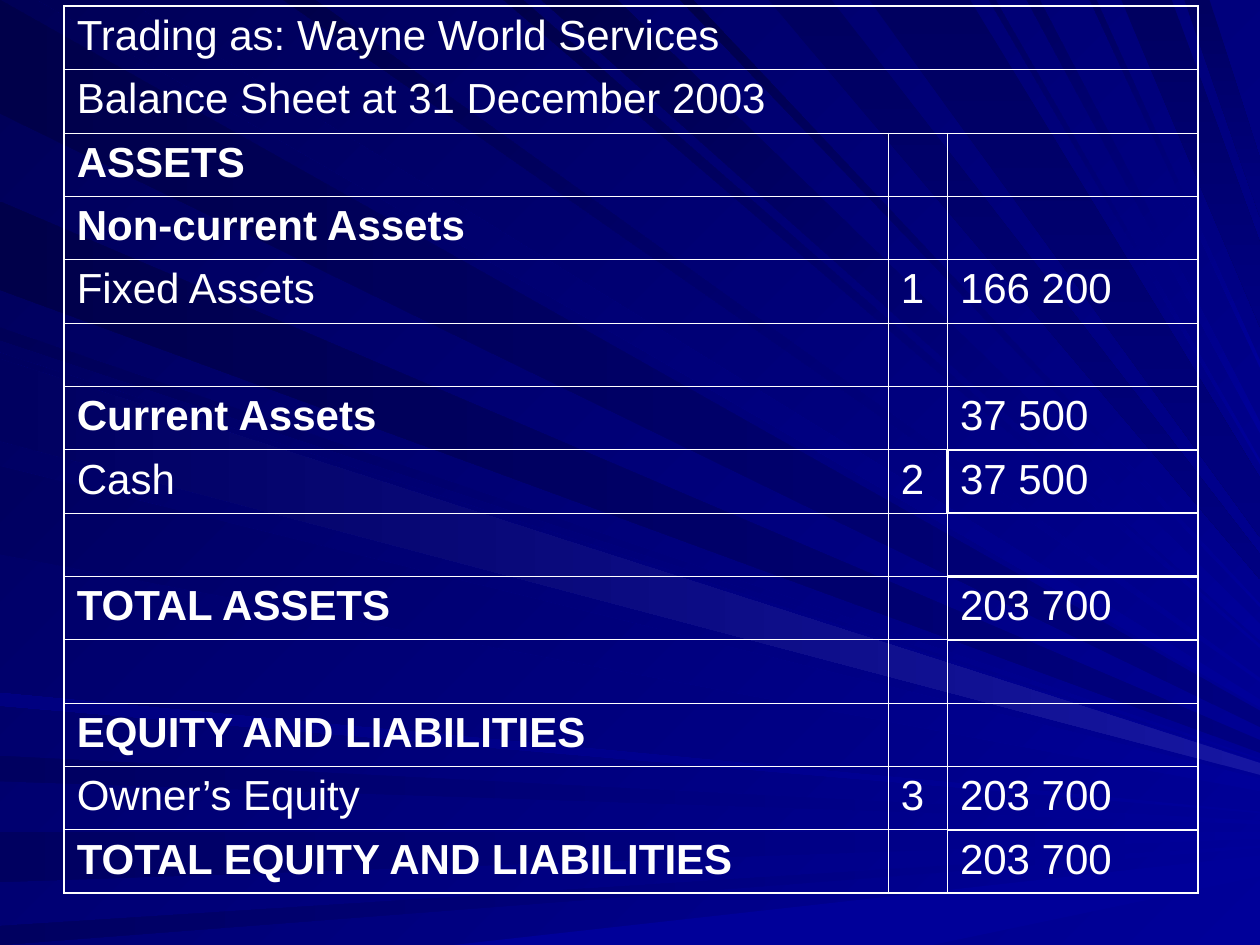
from lxml.etree import SubElement
from pptx import Presentation
from pptx.dml.color import RGBColor as RGB
from pptx.enum.text import MSO_ANCHOR
from pptx.oxml.ns import qn
from pptx.util import Inches, Pt

COLORS = {"text": "FFFFFF", "bright": "000099", "glow": "1616A1", "mid": "000080",
          "dusk": "000060", "deep": "000057", "night": "00004A"}
GRID_COLS, GRID_ROWS = 10, 7.5
VANISHING = (11.7, 6.6)

RAY_GROUPS = [
    ("left", "mid", "night", 180, [(0, 0.9), (1.6, 2.3)]),
    ("top", "bright", "deep", 225, [(0.3, 1)]),
    ("left", "bright", "dusk", 180, [(6, 6.2), (6.6, 7), (7.35, 7.5)]),
    ("bottom", "bright", "bright", 180, [(3.6, 7.4)]),
    ("left", "bright", "deep", 225, [(2.6, 2.7)]),
    ("top", "bright", "night", 225, [(4, 4.15), (4.3, 4.9), (5.4, 5.5)]),
    ("top", "dusk", "mid", 90, [(6.1, 6.6), (8.9, 9.3), (9.4, 9.6)]),
    ("left", "bright", "dusk", 225, [(2.8, 3.4), (3.7, 4.4)]),
    ("left", "bright", "mid", 180, [(5.5, 5.6)]),
    ("top", "bright", "night", 225, [(2.25, 2.5)]),
    ("top", "dusk", "mid", 90, [(6.9, 7.7)]),
    ("top", "bright", "dusk", 225, [(7.85, 7.9), (8.15, 8.25), (8.65, 8.7)]),
    ("left", "glow", "dusk", 180, [(2.85, 3.5)]),
]

BALANCE = [
    ("Trading as: Wayne World Services", "", "", False),
    ("Balance Sheet at 31 December 2003", "", "", False),
    ("ASSETS", "", "", True),
    ("Non-current Assets", "", "", True),
    ("Fixed Assets", "1", "166 200", False),
    ("", "", "", False),
    ("Current Assets", "", "37 500", True),
    ("Cash", "2", "37 500", False),
    ("", "", "", False),
    ("TOTAL ASSETS", "", "203 700", True),
    ("", "", "", False),
    ("EQUITY AND LIABILITIES", "", "", True),
    ("Owner’s Equity", "3", "203 700", False),
    ("TOTAL EQUITY AND LIABILITIES", "", "203 700", True),
]
COL_SHARES = (6.54 / 9, 0.47 / 9, 1.99 / 9)
TITLE_ROWS, BOXED_ROW = 2, 7
HEAVY_RULES = {7, 8, 9, 10, 13, 14}
THIN, OUTER, HEAVY = 0.45, 1.08, 1.47


def shares(prs, left, top, width, height):
    """Turn shares of the slide's size into a box of lengths."""
    w, h = prs.slide_width, prs.slide_height
    return int(left * w), int(top * h), int(width * w), int(height * h)


def paint(fill, start, end, angle):
    """Fill with a gradient at a clockwise angle."""
    fill.gradient()
    fill.gradient_angle = 360 - angle
    for stop, name in zip(fill.gradient_stops, (start, end)):
        stop.color.rgb = RGB.from_string(COLORS[name])


def edge_point(edge, pos):
    """Give the grid point at a position along an edge."""
    return {"left": (0, pos), "top": (pos, 0), "bottom": (pos, GRID_ROWS)}[edge]


def ray_end(x, y):
    """Follow a line towards the vanishing point up to the right edge."""
    vx, vy = VANISHING
    return GRID_COLS, y + (vy - y) * (GRID_COLS - x) / (vx - x)


def add_ray(slide, box, grid_points):
    """Draw one ray through grid points of the box."""
    left, top, width, height = box
    pts = [(left + x * width / GRID_COLS, top + y * height / GRID_ROWS) for x, y in grid_points]
    builder = slide.shapes.build_freeform(*pts[0])
    builder.add_line_segments(pts[1:], close=True)
    sp = builder.convert_to_shape()
    sp.shadow.inherit = False
    sp.line.fill.background()
    return sp


def add_rays(slide, box):
    """Spread the light rays from the edges of the box."""
    for edge, start, end, angle, spans in RAY_GROUPS:
        for span in spans:
            a, b = (edge_point(edge, pos) for pos in span)
            sp = add_ray(slide, box, [a, ray_end(*a), ray_end(*b), b])
            paint(sp.fill, start, end, angle)


def rule_weights(row, col):
    """Give the weights of a cell's left, right, top and bottom rules."""
    last_row, last_col = len(BALANCE) - 1, len(COL_SHARES) - 1
    left = OUTER if col == 0 else THIN
    right = OUTER if col == last_col or row < TITLE_ROWS else THIN
    top = OUTER if row == 0 else THIN
    bottom = OUTER if row == last_row else THIN
    if col == last_col:
        top = HEAVY if row in HEAVY_RULES else top
        bottom = HEAVY if row + 1 in HEAVY_RULES else bottom
    if row == BOXED_ROW:
        left = HEAVY if col == last_col else left
        right = HEAVY if col >= last_col - 1 else right
    return {"lnL": left, "lnR": right, "lnT": top, "lnB": bottom}


def add_rules(cell, weights):
    """Draw the rules around a cell."""
    tc_pr = cell._tc.get_or_add_tcPr()
    for tag, weight in weights.items():
        ln = SubElement(tc_pr, qn(f"a:{tag}"), w=str(int(Pt(weight))))
        SubElement(SubElement(ln, qn("a:solidFill")), qn("a:srgbClr"), val=COLORS["text"])


def write_cell(cell, text, bold):
    """Put formatted text into a cell."""
    cell.vertical_anchor = MSO_ANCHOR.TOP
    if not text:
        return
    r = cell.text_frame.paragraphs[0].add_run()
    r.text = text
    for name, value in {"name": "Arial", "size": Pt(24), "bold": bold}.items():
        setattr(r.font, name, value)
    r.font.color.rgb = RGB.from_string(COLORS["text"])


def add_balance_sheet(slide, box):
    """Lay the balance sheet out in equal rows inside the box."""
    table = slide.shapes.add_table(len(BALANCE), len(COL_SHARES), *box).table
    table.first_row = table.horz_banding = False
    for column, share in zip(table.columns, COL_SHARES):
        column.width = int(box[2] * share)
    for i, (*texts, bold) in enumerate(BALANCE):
        table.rows[i].height = box[3] // len(BALANCE)
        for j, text in enumerate(texts):
            cell = table.cell(i, j)
            write_cell(cell, text, bold and j == 0)
            add_rules(cell, rule_weights(i, j))
            cell.fill.background()
        if i < TITLE_ROWS:
            table.cell(i, 0).merge(table.cell(i, len(COL_SHARES) - 1))


def main():
    """Build the balance sheet slide and save it."""
    prs = Presentation()
    prs.slide_width, prs.slide_height = Inches(GRID_COLS), Inches(GRID_ROWS)
    slide = prs.slides.add_slide(prs.slide_layouts[6])
    paint(slide.background.fill, "bright", "deep", 225)
    add_rays(slide, shares(prs, 0, 0, 1, 1))
    add_balance_sheet(slide, shares(prs, 0.51 / GRID_COLS, 0.05 / GRID_ROWS, 0.9, 7.04 / GRID_ROWS))
    prs.save("out.pptx")


if __name__ == "__main__":
    main()
